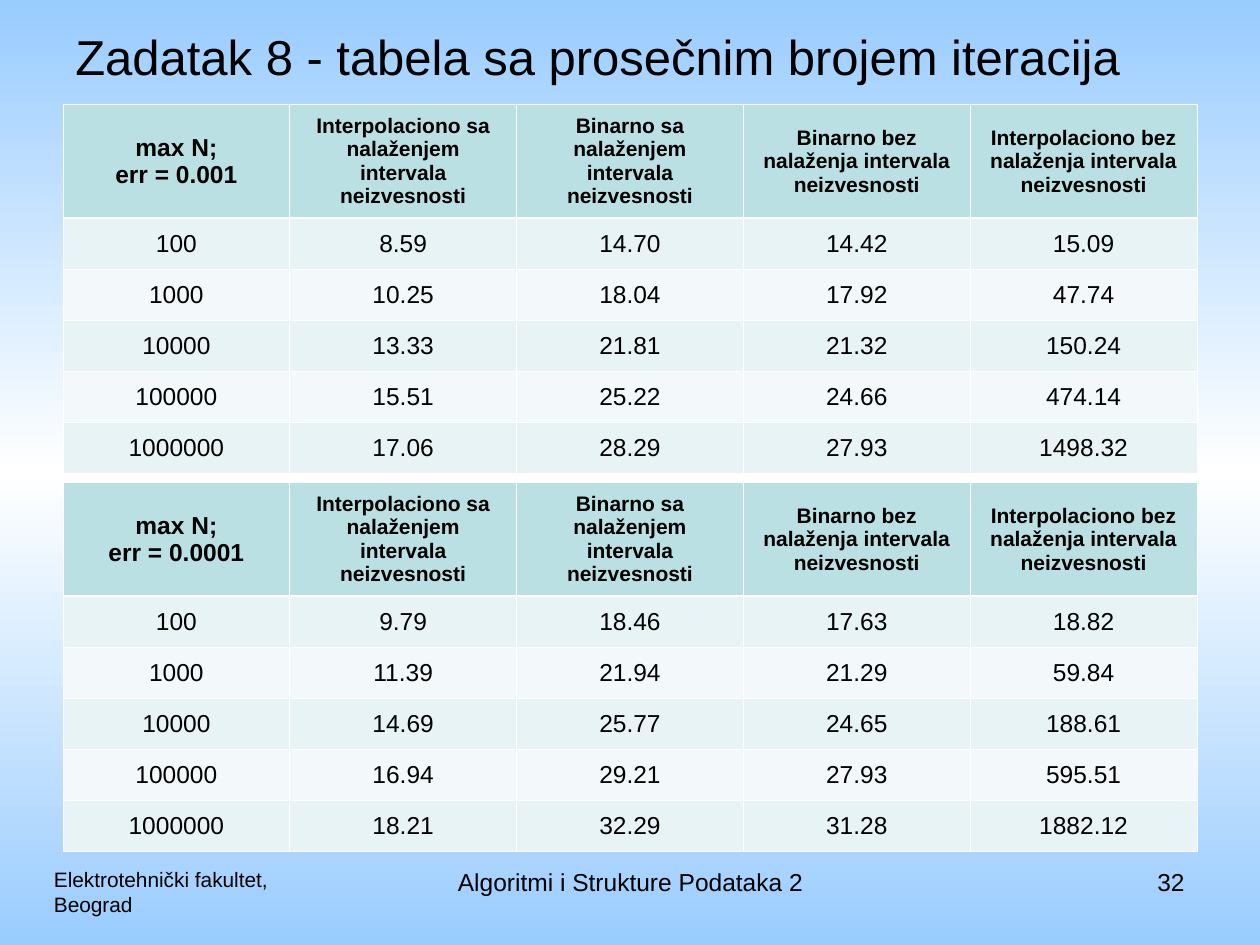
from copy import deepcopy

from lxml import etree
from pptx import Presentation
from pptx.dml.color import RGBColor
from pptx.enum import text
from pptx.oxml.ns import qn
from pptx.util import Inches, Pt

LEFT, CENTER, RIGHT = text.PP_ALIGN.LEFT, text.PP_ALIGN.CENTER, text.PP_ALIGN.RIGHT
TOP, MIDDLE = text.MSO_ANCHOR.TOP, text.MSO_ANCHOR.MIDDLE

BACKGROUND = [(0, "99CCFF"), (0.5, "FFFFFF"), (1, "99CCFF")]
HEADER_FILL, BAND_FILLS = "BBE0E3", ("E7F3F4", "F3F9FA")
THIN, THICK = 0.45, 1.47

# words, (left, top, width, height), size, alignment, anchor
LABELS = [
    ("Zadatak 8 - tabela sa prosečnim brojem iteracija",
     (0.5, 0.15, 9, 0.58), 28, LEFT, MIDDLE),
    ("Elektrotehnički fakultet,\nBeograd", (0.33, 6.83, 3, 0.52), 11.9, LEFT, TOP),
    ("Algoritmi i Strukture Podataka 2", (3.42, 6.83, 3.17, 0.52), 14, CENTER, TOP),
    ("32", (7.17, 6.83, 2.33, 0.52), 14, RIGHT, TOP),
]

METHODS = [
    "Interpolaciono sa nalaženjem intervala neizvesnosti",
    "Binarno sa nalaženjem intervala neizvesnosti",
    "Binarno bez nalaženja intervala neizvesnosti",
    "Interpolaciono bez nalaženja intervala neizvesnosti",
]
SIZES = ["100", "1000", "10000", "100000", "1000000"]
# table top, allowed error, mean iterations for each size
TABLES = [
    (0.83, "0.001", [
        ("8.59", "14.70", "14.42", "15.09"),
        ("10.25", "18.04", "17.92", "47.74"),
        ("13.33", "21.81", "21.32", "150.24"),
        ("15.51", "25.22", "24.66", "474.14"),
        ("17.06", "28.29", "27.93", "1498.32"),
    ]),
    (3.83, "0.0001", [
        ("9.79", "18.46", "17.63", "18.82"),
        ("11.39", "21.94", "21.29", "59.84"),
        ("14.69", "25.77", "24.65", "188.61"),
        ("16.94", "29.21", "27.93", "595.51"),
        ("18.21", "32.29", "31.28", "1882.12"),
    ]),
]
TABLE_LEFT, TABLE_WIDTH, TABLE_HEIGHT, HEADER_HEIGHT = 0.5, 9, 2.93, 0.9


def color(value):
    return RGBColor.from_string(value)


def write(frame, words, size, align, bold=False):
    frame.word_wrap = True
    frame.text = words
    for para in frame.paragraphs:
        para.alignment = align
        for span in para.runs:
            span.font.name = "Arial"
            span.font.size = Pt(size)
            span.font.bold = bold
            span.font.color.rgb = color("000000")


def paint_background(slide):
    fill = slide.background.fill
    fill.gradient()
    fill.gradient_angle = 270
    stops = slide._element.find(".//" + qn("a:gsLst"))
    stops.append(deepcopy(stops[-1]))
    for stop, (position, value) in zip(fill.gradient_stops, BACKGROUND):
        stop.position = position
        stop.color.rgb = color(value)


def add_borders(cell, top, bottom):
    """Draw white cell borders; the line elements must come before the fill."""
    properties = cell._tc.get_or_add_tcPr()
    sides = [("L", THIN), ("R", THIN), ("T", top), ("B", bottom)]
    for index, (side, width) in enumerate(sides):
        line = etree.Element(qn("a:ln" + side), w=str(Pt(width)))
        solid = etree.SubElement(line, qn("a:solidFill"))
        etree.SubElement(solid, qn("a:srgbClr"), val="FFFFFF")
        properties.insert(index, line)


def add_results(slide, top, error, results):
    header = [f"max N;\verr = {error}"] + METHODS
    rows = [header] + [[size, *values] for size, values in zip(SIZES, results)]
    table = slide.shapes.add_table(
        len(rows), len(header), Inches(TABLE_LEFT), Inches(top),
        Inches(TABLE_WIDTH), Inches(TABLE_HEIGHT)).table
    for column in table.columns:
        column.width = Inches(TABLE_WIDTH / len(header))
    body_height = (TABLE_HEIGHT - HEADER_HEIGHT) / len(results)
    for r, words in enumerate(rows):
        is_header = r == 0
        table.rows[r].height = Inches(HEADER_HEIGHT if is_header else body_height)
        for c, word in enumerate(words):
            cell = table.cell(r, c)
            cell.vertical_anchor = MIDDLE
            cell.fill.solid()
            cell.fill.fore_color.rgb = color(
                HEADER_FILL if is_header else BAND_FILLS[(r - 1) % 2])
            add_borders(cell, THICK if r == 1 else THIN, THICK if is_header else THIN)
            write(cell.text_frame, word, 12 if is_header and c else 14, CENTER, is_header)


deck = Presentation()
deck.slide_width, deck.slide_height = Inches(10), Inches(7.5)
slide = deck.slides.add_slide(deck.slide_layouts[6])
paint_background(slide)
for words, place, size, align, anchor in LABELS:
    box = slide.shapes.add_textbox(*map(Inches, place))
    box.text_frame.vertical_anchor = anchor
    write(box.text_frame, words, size, align)
for top, error, results in TABLES:
    add_results(slide, top, error, results)
deck.save("out.pptx")
